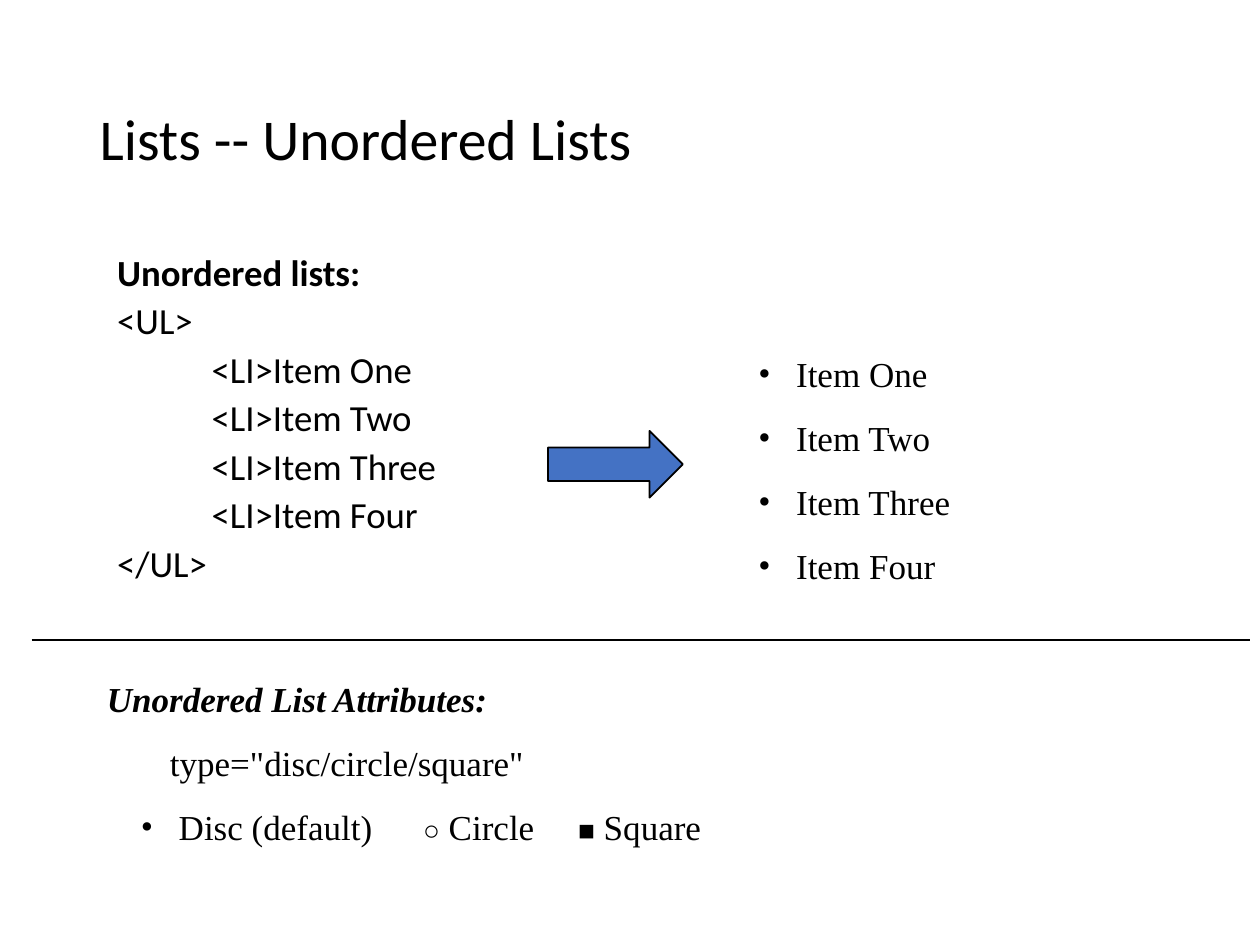
from lxml import etree
from pptx import Presentation
from pptx.dml.color import RGBColor
from pptx.enum.shapes import MSO_CONNECTOR, MSO_SHAPE
from pptx.enum.text import MSO_ANCHOR, MSO_AUTO_SIZE, PP_ALIGN
from pptx.oxml.ns import qn
from pptx.util import Inches, Pt

LEFT = PP_ALIGN.LEFT
MIDDLE = MSO_ANCHOR.MIDDLE
NO_FIT = MSO_AUTO_SIZE.NONE
RIGHT_ARROW = MSO_SHAPE.RIGHT_ARROW
STRAIGHT = MSO_CONNECTOR.STRAIGHT

BLACK = RGBColor(0x00, 0x00, 0x00)
BLUE = RGBColor(0x44, 0x72, 0xC4)
SANS = "Calibri"
SERIF = "Times New Roman"
SYMBOL = "Arial"
ITEMS = ["Item One", "Item Two", "Item Three", "Item Four"]


def place(shape, box):
    shape.left, shape.top, shape.width, shape.height = map(Inches, box)


def style_font(font, name, size, bold=False, italic=False):
    font.name, font.size = name, Pt(size)
    font.bold, font.italic = bold, italic
    font.color.rgb = BLACK


def format_para(para, margin=0, bullet=None, hanging=0, tabs=()):
    props = para._p.get_or_add_pPr()
    props.set("marL", str(Inches(margin)))
    props.set("indent", str(-Inches(hanging)))
    if bullet:
        etree.SubElement(props, qn("a:buFont"), typeface=SERIF)
        etree.SubElement(props, qn("a:buChar"), char=bullet)
    else:
        etree.SubElement(props, qn("a:buNone"))
    if tabs:
        stops = etree.SubElement(props, qn("a:tabLst"))
        for stop in tabs:
            etree.SubElement(stops, qn("a:tab"), pos=str(Inches(stop)), algn="l")


def next_para(frame, index):
    return frame.paragraphs[0] if index == 0 else frame.add_paragraph()


def add_serif_box(page, box):
    shape = page.shapes.add_textbox(*map(Inches, box))
    shape.text_frame.word_wrap = True
    return shape.text_frame


def style_serif(para, bold=False, italic=False):
    para.space_before = Pt(12.5)
    style_font(para.font, SERIF, 20, bold, italic)


def fill_title(page, box):
    title = page.shapes.title
    place(title, box)
    frame = title.text_frame
    frame.text = "Lists -- Unordered Lists"
    frame.auto_size, frame.vertical_anchor = NO_FIT, MIDDLE
    para = frame.paragraphs[0]
    para.alignment, para.line_spacing = LEFT, 0.9
    style_font(para.font, SANS, 33)


def fill_code(page, box):
    body = page.placeholders[1]
    place(body, box)
    frame = body.text_frame
    frame.auto_size = NO_FIT
    lines = [("Unordered lists:", 0), ("<UL>", 0)]
    lines += [(f"<LI>{item}", 0.75) for item in ITEMS]
    lines.append(("</UL>", 0))
    for index, (text, margin) in enumerate(lines):
        para = next_para(frame, index)
        para.text = text
        format_para(para, margin)
        para.line_spacing, para.space_before = 0.8, Pt(7.5)
        style_font(para.font, SANS, 21, bold=index == 0)


def add_result_list(page, box):
    frame = add_serif_box(page, box)
    for index, item in enumerate(ITEMS):
        para = next_para(frame, index)
        para.text = item
        format_para(para, 0.3, "•", 0.3)
        style_serif(para)


def add_attributes(page, box):
    frame = add_serif_box(page, box)
    heading = frame.paragraphs[0]
    heading.text = "Unordered List Attributes:"
    style_serif(heading, bold=True, italic=True)

    syntax = frame.add_paragraph()
    syntax.text = 'type="disc/circle/square"'
    format_para(syntax, 0.5)
    style_serif(syntax)

    samples = frame.add_paragraph()
    format_para(samples, 0.57, "•", 0.3, tabs=(2.51, 3.74))
    style_serif(samples)
    for text, name, size in [
        ("Disc (default)\t", SERIF, 20),
        ("○", SYMBOL, 16),
        (" Circle\t", SERIF, 20),
        ("■", SYMBOL, 16),
        (" Square", SERIF, 20),
    ]:
        span = samples.add_run()
        span.text = text
        style_font(span.font, name, size)


def add_arrow(page, box):
    arrow = page.shapes.add_shape(RIGHT_ARROW, *map(Inches, box))
    arrow.shadow.inherit = False
    arrow.fill.solid()
    arrow.fill.fore_color.rgb = BLUE
    arrow.line.color.rgb = BLACK
    arrow.line.width = Pt(1)


def add_divider(page, left, right, top):
    divider = page.shapes.add_connector(
        STRAIGHT, Inches(left), Inches(top), Inches(right), Inches(top))
    divider.line.color.rgb = BLACK
    divider.line.width = Pt(1)
    etree.SubElement(divider._element.spPr, qn("a:effectLst"))


def main():
    deck = Presentation()
    deck.slide_width, deck.slide_height = Inches(10), Inches(7.5)
    page = deck.slides.add_slide(deck.slide_layouts[1])
    fill_title(page, (0.69, 0.4, 8.63, 1.45))
    fill_code(page, (0.83, 2, 3.42, 2.83))
    add_result_list(page, (5.92, 2.75, 1.92, 1.96))
    add_attributes(page, (0.75, 5.33, 9.08, 1.45))
    add_arrow(page, (4.35, 3.42, 1.07, 0.53))
    add_divider(page, 0.25, 9.92, 5.08)
    deck.save("out.pptx")


if __name__ == "__main__":
    main()
